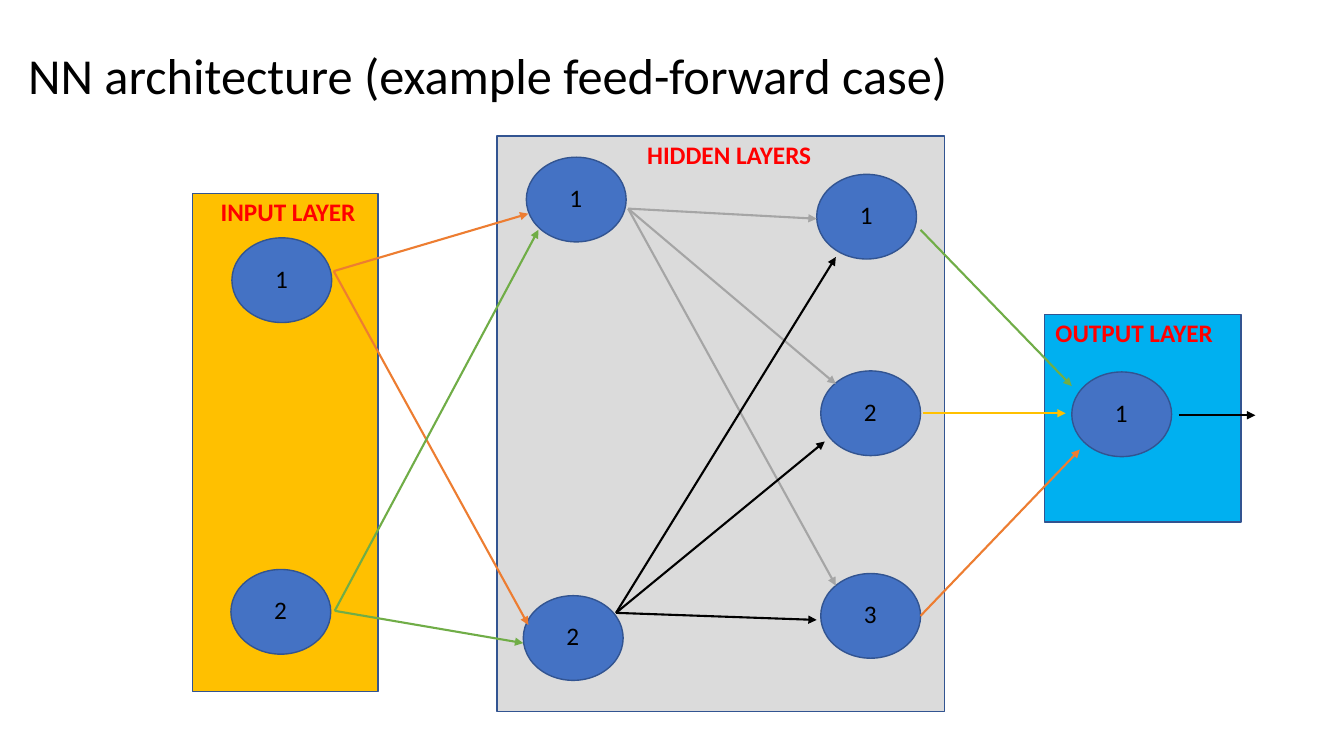
from pptx import Presentation
from pptx.dml.color import RGBColor
from pptx.enum.shapes import MSO_CONNECTOR, MSO_SHAPE
from pptx.enum.text import MSO_ANCHOR, MSO_AUTO_SIZE
from pptx.oxml.ns import qn
from pptx.util import Inches, Pt
from lxml.etree import SubElement

OUTLINE, NODE_FILL = "325491", "4472C4"
BLACK, RED = "000000", "FF0000"
ORANGE, GREEN, GRAY, GOLD = "ED7D31", "70AD47", "A5A5A5", "FFC000"
NODE_WIDTH, NODE_HEIGHT = 0.99, 0.84

# Layer box, fill, label, label offset, and node offsets within the box
LAYERS = [
    ((10.36, 3.12, 1.95, 2.06), "00B0F0", "OUTPUT LAYER", 0.01,
     [("1", 0.27, 0.57)]),
    ((1.91, 1.92, 1.84, 4.94), GOLD, "INPUT LAYER", 0.18,
     [("1", 0.39, 0.44), ("2", 0.38, 3.73)]),
    ((4.93, 1.35, 4.44, 5.71), "DBDBDB", "HIDDEN LAYERS", 1.39,
     [("1", 0.29, 0.21), ("2", 0.26, 4.56),
      ("1", 3.17, 0.38), ("2", 3.21, 2.33), ("3", 3.21, 4.34)]),
]

# Arrows leaving each node: colour, start, ends
FANS = [
    (ORANGE, (3.31, 2.69), [(5.24, 2.12), (5.24, 6.2)]),
    (GREEN, (3.32, 6.06), [(5.34, 2.28), (5.19, 6.38)]),
    (GRAY, (6.23, 2.07), [(8.1, 2.17), (8.29, 3.81), (8.29, 5.81)]),
    (BLACK, (6.11, 6.08), [(8.29, 2.55), (8.18, 4.38), (8.1, 6.15)]),
    (GREEN, (9.13, 2.28), [(10.63, 3.83)]),
    (GOLD, (9.15, 4.1), [(10.57, 4.1)]),
    (ORANGE, (9.13, 6.11), [(10.71, 4.46)]),
    (BLACK, (11.69, 4.12), [(12.45, 4.12)]),
]


def color(value):
    return RGBColor.from_string(value)


def add_text(page, box, text, size=18, fill=BLACK, bold=False, wrap=True):
    text_box = page.shapes.add_textbox(*map(Inches, box))
    frame = text_box.text_frame
    frame.text = text
    frame.word_wrap = wrap
    font = frame.paragraphs[0].runs[0].font
    font.name, font.size, font.bold = "Calibri", Pt(size), bold
    font.color.rgb = color(fill)
    return frame


def add_block(page, kind, box, fill):
    block = page.shapes.add_shape(kind, *map(Inches, box))
    block.shadow.inherit = False
    block.fill.solid()
    block.fill.fore_color.rgb = color(fill)
    block.line.color.rgb = color(OUTLINE)
    block.line.width = Pt(1)


def add_title(page, box):
    frame = add_text(page, box, "NN architecture (example feed-forward case)", 36)
    frame.vertical_anchor = MSO_ANCHOR.MIDDLE
    frame.paragraphs[0].line_spacing = 0.9


def add_node(page, left, top, number):
    add_block(page, MSO_SHAPE.OVAL, (left, top, NODE_WIDTH, NODE_HEIGHT), NODE_FILL)
    frame = add_text(page, (left + 0.33, top + 0.2, 0.33, 0.4), number, wrap=False)
    frame.auto_size = MSO_AUTO_SIZE.SHAPE_TO_FIT_TEXT


def add_layer(page, box, fill, label, label_offset, nodes):
    left, top = box[:2]
    add_block(page, MSO_SHAPE.RECTANGLE, box, fill)
    for number, across, down in nodes:
        add_node(page, left + across, top + down, number)
    frame = add_text(page, (left + label_offset, top - 0.02, 2.09, 0.4), label,
                     fill=RED, bold=True)
    frame.auto_size = MSO_AUTO_SIZE.SHAPE_TO_FIT_TEXT


def add_arrow(page, start, end, stroke):
    arrow = page.shapes.add_connector(MSO_CONNECTOR.STRAIGHT,
                                      *map(Inches, start + end))
    arrow.line.color.rgb = color(stroke)
    arrow.line.width = Pt(1.5)
    SubElement(arrow.line._get_or_add_ln(), qn("a:tailEnd"), type="triangle")
    SubElement(arrow._element.spPr, qn("a:effectLst"))


def build_slide(deck):
    page = deck.slides.add_slide(deck.slide_layouts[6])
    add_title(page, (0.18, 0.05, 11.5, 1.45))
    for layer in LAYERS:
        add_layer(page, *layer)
    for stroke, start, ends in FANS:
        for end in ends:
            add_arrow(page, start, end, stroke)


def main():
    deck = Presentation()
    deck.slide_width, deck.slide_height = Inches(13.33), Inches(7.5)
    build_slide(deck)
    deck.save("out.pptx")


if __name__ == "__main__":
    main()
